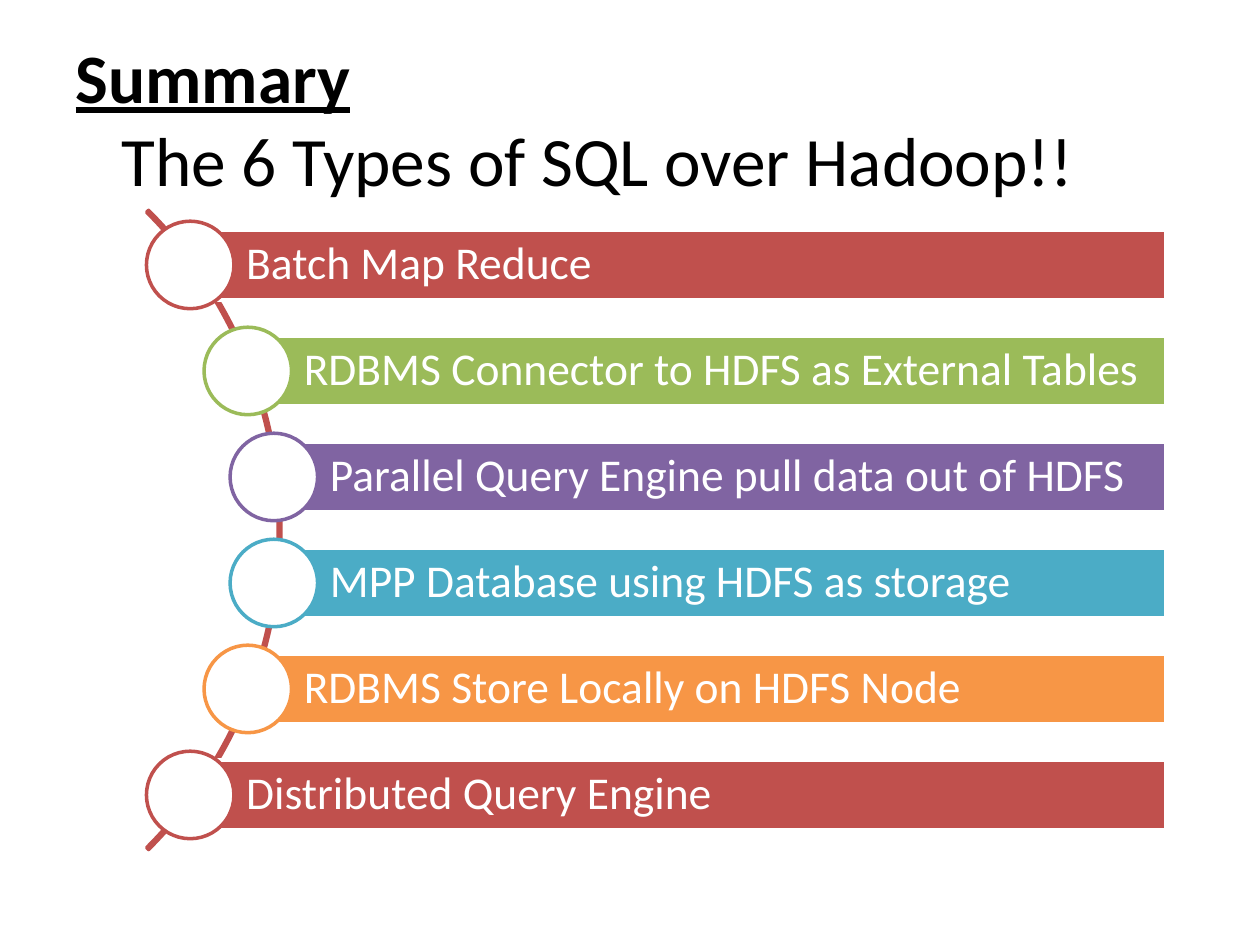
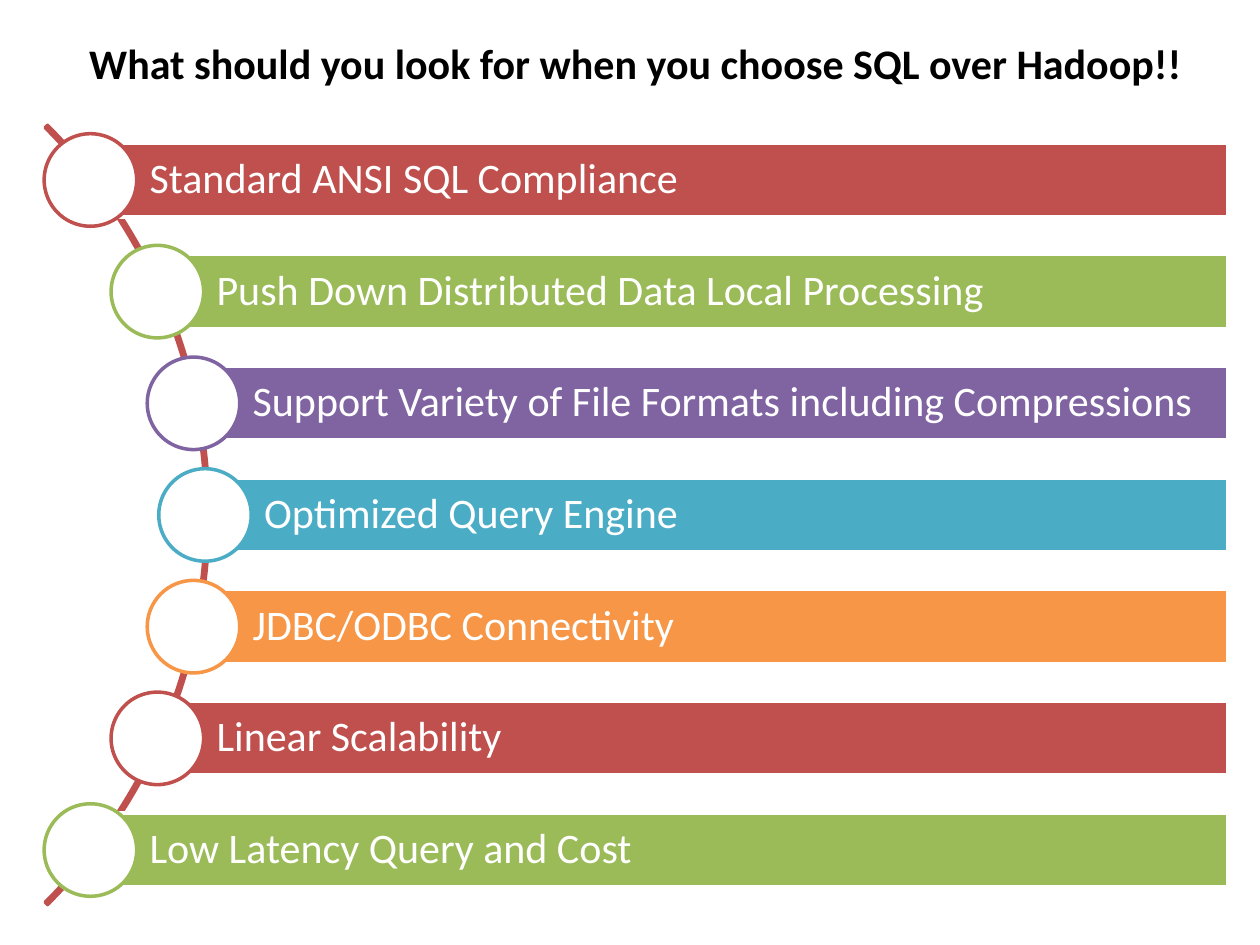
from dataclasses import dataclass
from itertools import cycle
from math import sqrt

from pptx import Presentation
from pptx.dml.color import RGBColor as Rgb
from pptx.enum.shapes import MSO_SHAPE as Kind
from pptx.enum.text import MSO_ANCHOR as Anchor, MSO_AUTO_SIZE as Fit, PP_ALIGN as Align
from pptx.util import Emu, Pt

SCALE = 914400 / 126  # EMU in one px


def px(num):
    return Emu(round(num * SCALE))


@dataclass(frozen=True)
class Theme:
    font: str = "Calibri"
    ink: str = "000000"
    paper: str = "FFFFFF"
    accents: tuple = ("C0504D", "9BBB59", "8064A2", "4BACC6", "F79646")
    line: float = 2
    big: float = 39.6
    small: float = 24
    label: float = 26


class Deck:
    def __init__(self, theme):
        self.theme = theme
        self.file = Presentation()
        self.file.slide_width, self.file.slide_height = px(1260), px(945)
        self.slide = None

    def page(self):
        self.slide = self.file.slides.add_slide(self.file.slide_layouts[5])

    def style(self, para, size, color, bold=False, align=Align.LEFT):
        para.alignment = align
        font = para.font
        font.name, font.size, font.bold = self.theme.font, Pt(size), bold
        font.color.rgb = Rgb.from_string(color)

    def title(self, box, lines, size, align=Align.LEFT):
        """Fill the title; the first line is bold, the others plain and indented."""
        head = self.slide.shapes.title
        head.left, head.top, head.width, head.height = map(px, box)
        frame = head.text_frame
        frame.text = "\n".join(lines)
        frame.auto_size, frame.vertical_anchor = Fit.NONE, Anchor.MIDDLE
        for i, para in enumerate(frame.paragraphs):
            if i:
                para._p.get_or_add_pPr().set("marL", str(px(46)))
            self.style(para, size, self.theme.ink, i == 0, align)
        return frame

    def shape(self, kind, box, fill, line):
        item = self.slide.shapes.add_shape(kind, *map(px, box))
        item.shadow.inherit = False
        if fill:
            item.fill.solid()
            item.fill.fore_color.rgb = Rgb.from_string(fill)
        else:
            item.fill.background()
        item.line.color.rgb = Rgb.from_string(line)
        item.line.width = Pt(self.theme.line)
        return item

    def arc(self, mid_x, mid_y, rad):
        box = (mid_x - rad, mid_y - rad, 2 * rad, 2 * rad)
        arc = self.shape(Kind.BLOCK_ARC, box, None, self.theme.accents[0])
        for i, value in enumerate((189, 27, 0.003)):
            arc.adjustments[i] = value

    def bar(self, box, text, size, color):
        bar = self.shape(Kind.RECTANGLE, box, color, self.theme.paper)
        frame = bar.text_frame
        frame.word_wrap, frame.vertical_anchor = True, Anchor.MIDDLE
        frame.margin_top = frame.margin_right = frame.margin_bottom = px(9)
        frame.margin_left = px(0.8 * box[3])
        frame.text = text
        para = frame.paragraphs[0]
        para.line_spacing = 0.9
        self.style(para, size, self.theme.paper)

    def disc(self, mid_x, mid_y, wide, color):
        box = (mid_x - wide / 2, mid_y - wide / 2, wide, wide)
        self.shape(Kind.OVAL, box, self.theme.paper, color)

    def curve(self, labels, size, mid, rad, span, right, tall):
        """Set evenly spaced bars, each led by a disc, along a round arc."""
        mid_x, mid_y = mid
        self.arc(mid_x, mid_y, rad)
        step = span / (len(labels) - 1)
        for i, (text, color) in enumerate(zip(labels, cycle(self.theme.accents))):
            rise = i * step - span / 2
            x, y = mid_x + sqrt((rad - 4) ** 2 - rise ** 2), mid_y + rise
            self.bar((x, y - tall / 2, right - x, tall), text, size, color)
            self.disc(x, y, 1.25 * tall, color)


def types(deck):
    deck.page()
    frame = deck.title((63, 38, 1155, 158),
                       ("Summary", "The 6 Types of SQL over Hadoop!!"), deck.theme.big)
    frame.paragraphs[0].font.underline = True
    labels = (
        "Batch Map Reduce",
        "RDBMS Connector to HDFS as External Tables",
        "Parallel Query Engine pull data out of HDFS",
        "MPP Database using HDFS as storage",
        "RDBMS Store Locally on HDFS Node",
        "Distributed Query Engine",
    )
    deck.curve(labels, deck.theme.label, mid=(-171, 530), rad=452,
               span=530, right=1166, tall=70)


def needs(deck):
    deck.page()
    deck.title((21, 21, 1229, 84),
               ("What should you look for when you choose SQL over Hadoop!!",),
               deck.theme.small, Align.CENTER)
    labels = (
        "Standard ANSI SQL Compliance",
        "Push Down Distributed Data Local Processing",
        "Support Variety of File Formats including Compressions",
        "Optimized Query Engine",
        "JDBC/ODBC Connectivity",
        "Linear Scalability",
        "Low Latency Query and Cost",
    )
    deck.curve(labels, deck.theme.small, mid=(-342, 515), rad=551,
               span=670, right=1228, tall=74)


def main():
    deck = Deck(Theme())
    types(deck)
    needs(deck)
    deck.file.save("out.pptx")


if __name__ == "__main__":
    main()
